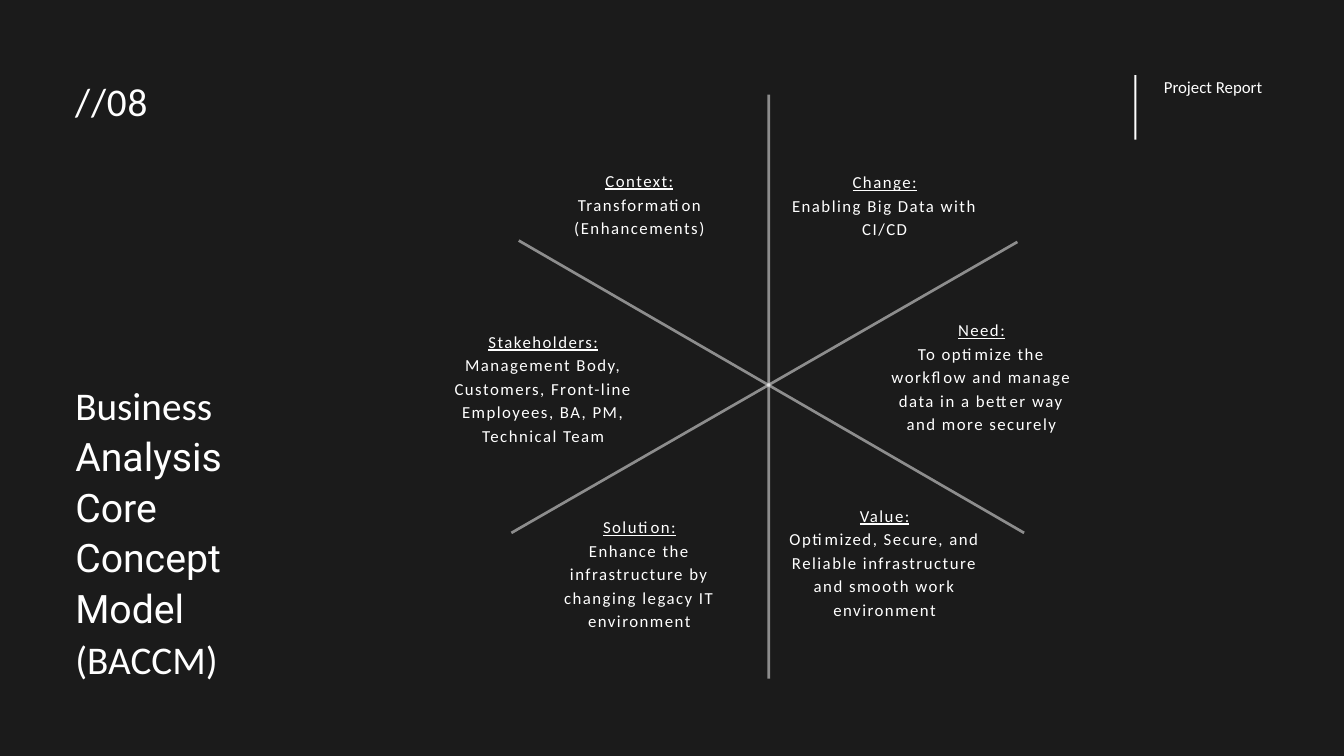
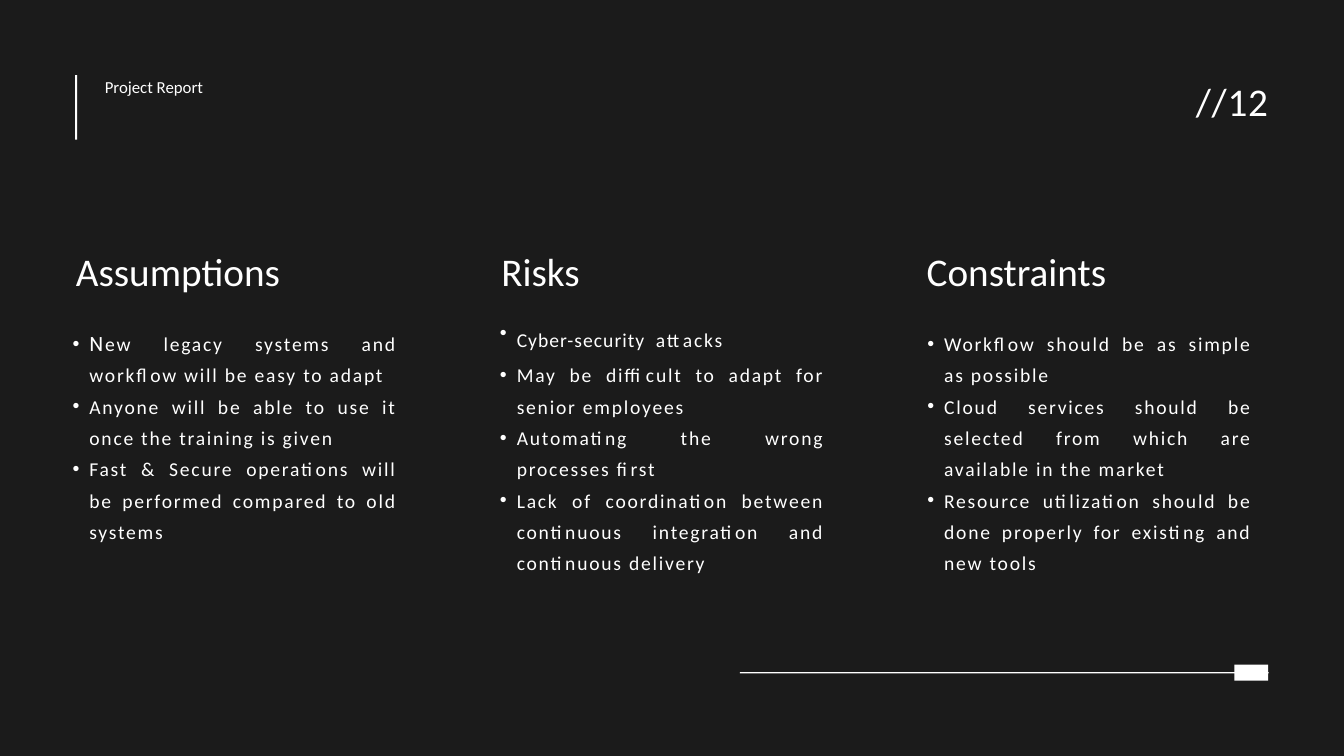
import pptx
import pptx.util
import pptx.dml.color
import pptx.enum.shapes
import pptx.enum.text
from lxml import etree

Inches = pptx.util.Inches
Pt = pptx.util.Pt
ALIGN = pptx.enum.text.PP_ALIGN

# Shared look
DARK = "1B1B1B"
WHITE = "FFFFFF"
SANS = "Calibri"
ALT = "Roboto"
NS = "http://schemas.openxmlformats.org/drawingml/2006/main"
ONLY, BLANK = 5, 6


def color(code):
    return pptx.dml.color.RGBColor.from_string(code)


def tag(parent, name, **attrs):
    return etree.SubElement(parent, f"{{{NS}}}{name}", **attrs)


def add_run(para, text, size, font=SANS, gap=0, under=None):
    run = para.add_run()
    run.text = text
    run.font.size = Pt(size)
    run.font.name = font
    run.font.color.rgb = color(WHITE)
    run.font.underline = under
    if gap:
        run.font._element.set("spc", str(round(gap * 100)))


def set_para(para, lead, align=ALIGN.LEFT):
    para.alignment = align
    para.line_spacing = Pt(lead)
    para.space_before = para.space_after = Pt(0)


def next_para(frame, lead, align=ALIGN.LEFT):
    """Use the first paragraph while it is empty, then add new ones."""
    first = frame.paragraphs[0]
    para = frame.add_paragraph() if first.runs else first
    set_para(para, lead, align)
    return para


def set_frame(shape):
    frame = shape.text_frame
    frame.word_wrap = True
    frame.auto_size = pptx.enum.text.MSO_AUTO_SIZE.SHAPE_TO_FIT_TEXT
    frame.vertical_anchor = pptx.enum.text.MSO_ANCHOR.TOP
    frame.margin_left = frame.margin_right = 0
    frame.margin_top = frame.margin_bottom = 0
    return frame


def add_box(slide, left, top, width, height):
    return set_frame(slide.shapes.add_textbox(
        Inches(left), Inches(top), Inches(width), Inches(height)))


def add_bar(slide, left, top, width, height):
    bar = slide.shapes.add_shape(
        pptx.enum.shapes.MSO_SHAPE.RECTANGLE,
        Inches(left), Inches(top), Inches(width), Inches(height))
    bar.shadow.inherit = False
    bar.fill.solid()
    bar.fill.fore_color.rgb = color(WHITE)
    bar.line.fill.background()


def add_label(slide, left):
    """Upright bar with the report name beside it."""
    add_bar(slide, left, 1.12, 0.03, 0.96)
    frame = add_box(slide, left + 0.44, 1.09, 1.56, 0.67)
    add_run(next_para(frame, 25.2), "Project Report", 18)


def add_page(slide, text, left, width, align):
    frame = add_box(slide, left, 1.04, width, 0.78)
    add_run(next_para(frame, 58.8, align), text, 42, gap=0.8)


def add_title(slide, lines, left, top, width, height):
    title = slide.shapes.title
    title.left, title.top = Inches(left), Inches(top)
    title.width, title.height = Inches(width), Inches(height)
    frame = set_frame(title)
    for line in lines:
        para = next_para(frame, 54.6)
        for text, font in line:
            add_run(para, text, 42, font)


def add_spoke(slide, start, end):
    """Half-transparent line of the six-part wheel."""
    spoke = slide.shapes.add_connector(
        pptx.enum.shapes.MSO_CONNECTOR.STRAIGHT,
        *[Inches(v) for v in start + end])
    spoke.line.width = Pt(2.9)
    spoke.line.color.rgb = color(WHITE)
    props = spoke._element.spPr
    tag(props.find(f".//{{{NS}}}srgbClr"), "alpha", val="50000")
    tag(props, "effectLst")


def add_part(slide, left, top, height, head, lines):
    """Underlined heading over centred text."""
    frame = add_box(slide, left, top, 2.87, height)
    for text in [head] + lines:
        para = next_para(frame, 25.2, ALIGN.CENTER)
        add_run(para, text, 18, gap=1.6, under=text == head)


def add_list(slide, left, height, items):
    """Justified bullets; each item is a list of runs."""
    frame = add_box(slide, left, 4.82, 5.08, height)
    for item in items:
        para = next_para(frame, 33.6, ALIGN.JUSTIFY)
        para.level = 1
        props = para._p.get_or_add_pPr()
        props.set("marL", str(Inches(0.5)))
        props.set("indent", str(Inches(-0.25)))
        tag(props, "buFont", typeface="Arial")
        tag(props, "buChar", char="•")
        for text, size, font, gap in item:
            add_run(para, text, size, font, gap)


def plain(text):
    return [(text, 21, SANS, 1.9)]


PARTS = [
    (11.73, 2.51, 1.02, "Change:", ["Enabling Big Data with CI/CD"]),
    (13.17, 4.71, 2.05, "Need:",
     ["To optimize the workflow and manage data in a better way "
      "and more securely"]),
    (11.73, 7.47, 2.05, "Value:",
     ["Optimized, Secure, and Reliable infrastructure and smooth work "
      "environment"]),
    (8.08, 7.64, 1.71, "Solution:",
     ["Enhance the infrastructure by changing legacy IT environment"]),
    (6.65, 4.88, 1.75, "Stakeholders:",
     ["Management Body, Customers, Front-line Employees, BA, PM, "
      "Technical Team"]),
    (8.08, 2.49, 1.02, "Context:", ["Transformation", "(Enhancements)"]),
]

SPOKES = [
    ((7.61, 7.93), (15.14, 3.6)),
    ((7.72, 3.58), (15.24, 7.93)),
    ((11.44, 1.41), (11.44, 10.1)),
]

LISTS = [
    ("Assumptions", 3.62, [
        [("N", 21, ALT, 1.9),
         ("ew legacy systems and workflow will be easy to adapt",
          21, SANS, 1.9)],
        plain("Anyone will be able to use it once the training is given"),
        plain("Fast & Secure operations will be performed compared to "
              "old systems"),
    ]),
    ("Risks", 4.29, [
        [("Cyber-security", 21, SANS, 1.1), (" ", 40, SANS, 1.9),
         ("attacks", 21, SANS, 1.9)],
        plain("May be difficult to adapt for senior employees"),
        plain("Automating the wrong processes first"),
        plain("Lack of coordination between continuous integration and "
              "continuous delivery"),
    ]),
    ("Constraints", 3.81, [
        plain("Workflow should be as simple as possible"),
        plain("Cloud services should be selected from which are available "
              "in the market"),
        plain("Resource utilization should be done properly for existing "
              "and new tools"),
    ]),
]


def add_model(deck):
    slide = deck.slides.add_slide(deck.slide_layouts[ONLY])
    add_label(slide, 16.88)
    add_title(slide, [
        [("Business", SANS)],
        [("Analysis Core Concept Model ", ALT), ("(BACCM)", SANS)],
    ], 1.12, 5.61, 3.45, 4.63)
    add_page(slide, "//08", 1.12, 3.74, ALIGN.LEFT)
    for start, end in SPOKES:
        add_spoke(slide, start, end)
    for part in PARTS:
        add_part(slide, *part)


def add_risks(deck):
    slide = deck.slides.add_slide(deck.slide_layouts[BLANK])
    add_label(slide, 1.12)
    for col, (head, height, items) in enumerate(LISTS):
        frame = add_box(slide, 1.13 + 6.33 * col, 3.62, 5.04, 0.72)
        add_run(next_para(frame, 54.6), head, 42)
        add_list(slide, 0.83 + 6.36 * col, height, items)
    add_page(slide, "//12", 15.68, 3.19, ALIGN.RIGHT)
    # Footer line with its end block
    add_bar(slide, 11.01, 10, 7.87, 0.02)
    add_bar(slide, 18.37, 9.89, 0.5, 0.24)


def main():
    deck = pptx.Presentation()
    deck.slide_width, deck.slide_height = Inches(20), Inches(11.25)
    back = deck.slide_master.background.fill
    back.solid()
    back.fore_color.rgb = color(DARK)
    add_model(deck)
    add_risks(deck)
    deck.save("out.pptx")


if __name__ == "__main__":
    main()
